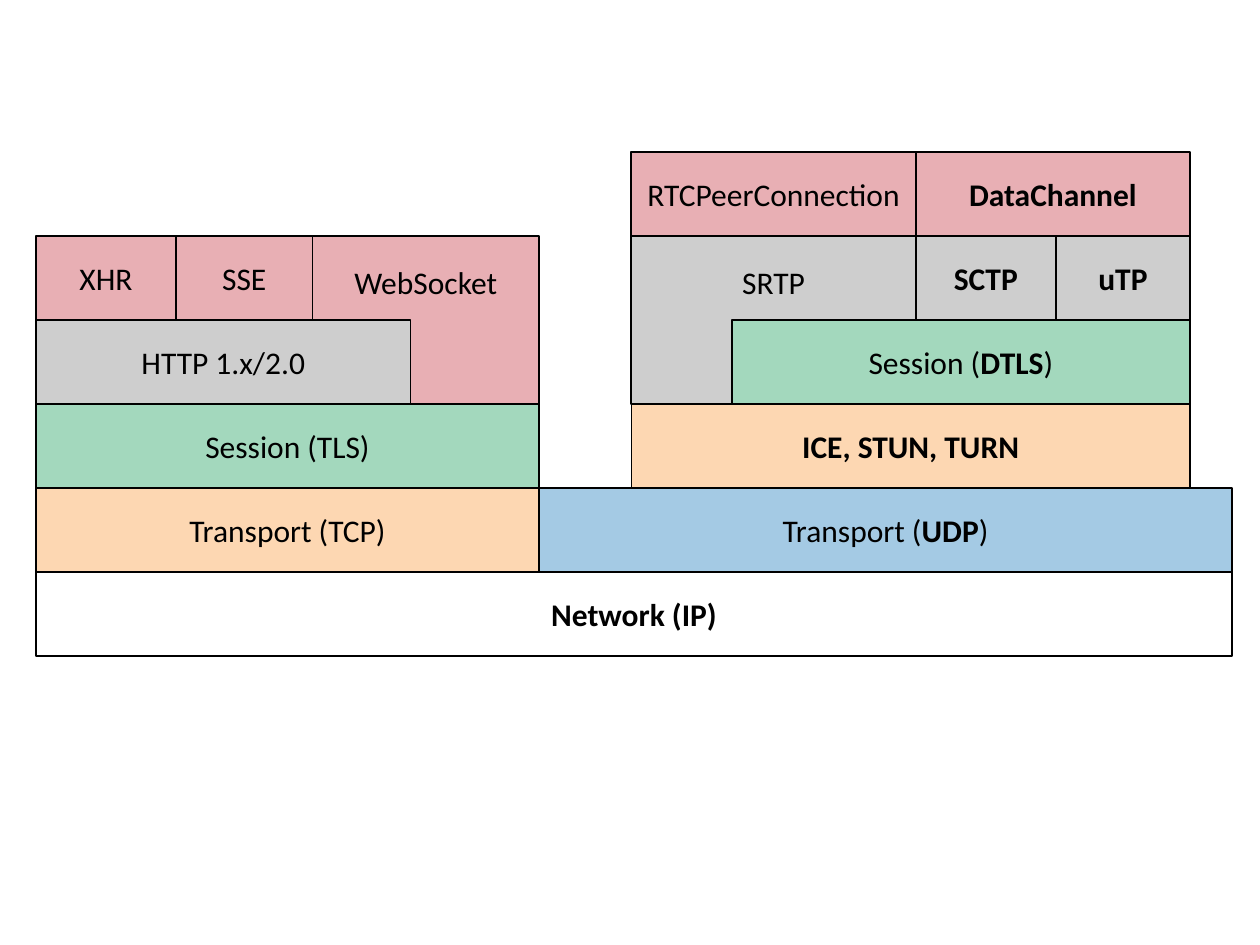
from pptx import Presentation
from pptx.dml.color import RGBColor
from pptx.enum.shapes import MSO_SHAPE
from pptx.enum.text import MSO_ANCHOR, PP_ALIGN
from pptx.util import Pt

RECTANGLE = MSO_SHAPE.RECTANGLE
MIDDLE = MSO_ANCHOR.MIDDLE
CENTER = PP_ALIGN.CENTER

PINK, GRAY, GREEN = "E8AFB4", "CECECE", "A3D8BD"
ORANGE, BLUE, WHITE, BLACK = "FDD7B2", "A4CAE4", "FFFFFF", "000000"

STACK_TOP = 87
ROW_HEIGHT = 48
INSET = 3.6
TALL_TEXT_LIFT = 44

TCP_LEFT, TCP_RIGHT = 20.6, 308
SSE_LEFT, WEBSOCKET_LEFT, HTTP_RIGHT = 100.6, 178.6, 234.6
RTC_LEFT, RTC_RIGHT, UDP_RIGHT = 360.8, 680, 704
DTLS_LEFT, CHANNEL_LEFT, UTP_LEFT = 418.2, 523.4, 603.4


def rgb(value):
    return RGBColor.from_string(value)


prs = Presentation()
prs.slide_width, prs.slide_height = Pt(720), Pt(540)
slide = prs.slides.add_slide(prs.slide_layouts[6])

layers = [
    (5, 1, TCP_LEFT, UDP_RIGHT, WHITE, [("Network (IP)", True)]),
    (4, 1, TCP_LEFT, TCP_RIGHT, ORANGE, [("Transport (TCP)", False)]),
    (4, 1, TCP_RIGHT, UDP_RIGHT, BLUE,
     [("Transport (", False), ("UDP", True), (")", False)]),
    (3, 1, TCP_LEFT, TCP_RIGHT, GREEN, [("Session (TLS)", False)]),
    (3, 1, RTC_LEFT, RTC_RIGHT, ORANGE, [("ICE, STUN, TURN", True)]),
    (1, 1, TCP_LEFT, SSE_LEFT, PINK, [("XHR", False)]),
    (1, 1, SSE_LEFT, WEBSOCKET_LEFT, PINK, [("SSE", False)]),
    (1, 2, WEBSOCKET_LEFT, TCP_RIGHT, PINK, [("WebSocket", False)]),
    (2, 1, TCP_LEFT, HTTP_RIGHT, GRAY, [("HTTP 1.x/2.0", False)]),
    (1, 2, RTC_LEFT, CHANNEL_LEFT, GRAY, [("SRTP", False)]),
    (1, 1, CHANNEL_LEFT, UTP_LEFT, GRAY, [("SCTP", True)]),
    (0, 1, CHANNEL_LEFT, RTC_RIGHT, PINK, [("DataChannel", True)]),
    (0, 1, RTC_LEFT, CHANNEL_LEFT, PINK, [("RTCPeerConnection", False)]),
    (2, 1, DTLS_LEFT, RTC_RIGHT, GREEN,
     [("Session (", False), ("DTLS", True), (")", False)]),
    (1, 1, UTP_LEFT, RTC_RIGHT, GRAY, [("uTP", True)]),
]

for row, span, left, right, color, label in layers:
    layer = slide.shapes.add_shape(
        RECTANGLE, Pt(left), Pt(STACK_TOP + row * ROW_HEIGHT),
        Pt(right - left), Pt(span * ROW_HEIGHT))
    layer.shadow.inherit = False
    layer.fill.solid()
    layer.fill.fore_color.rgb = rgb(color)
    layer.line.color.rgb = rgb(BLACK)
    layer.line.width = Pt(1)
    frame = layer.text_frame
    frame.word_wrap = True
    frame.vertical_anchor = MIDDLE
    frame.margin_top = Pt(INSET)
    frame.margin_bottom = Pt(INSET + (span - 1) * TALL_TEXT_LIFT)
    paragraph = frame.paragraphs[0]
    paragraph.alignment = CENTER
    for text, bold in label:
        run = paragraph.add_run()
        run.text = text
        run.font.name = "Calibri"
        run.font.size = Pt(18)
        run.font.bold = bold
        run.font.color.rgb = rgb(BLACK)

prs.save("out.pptx")
